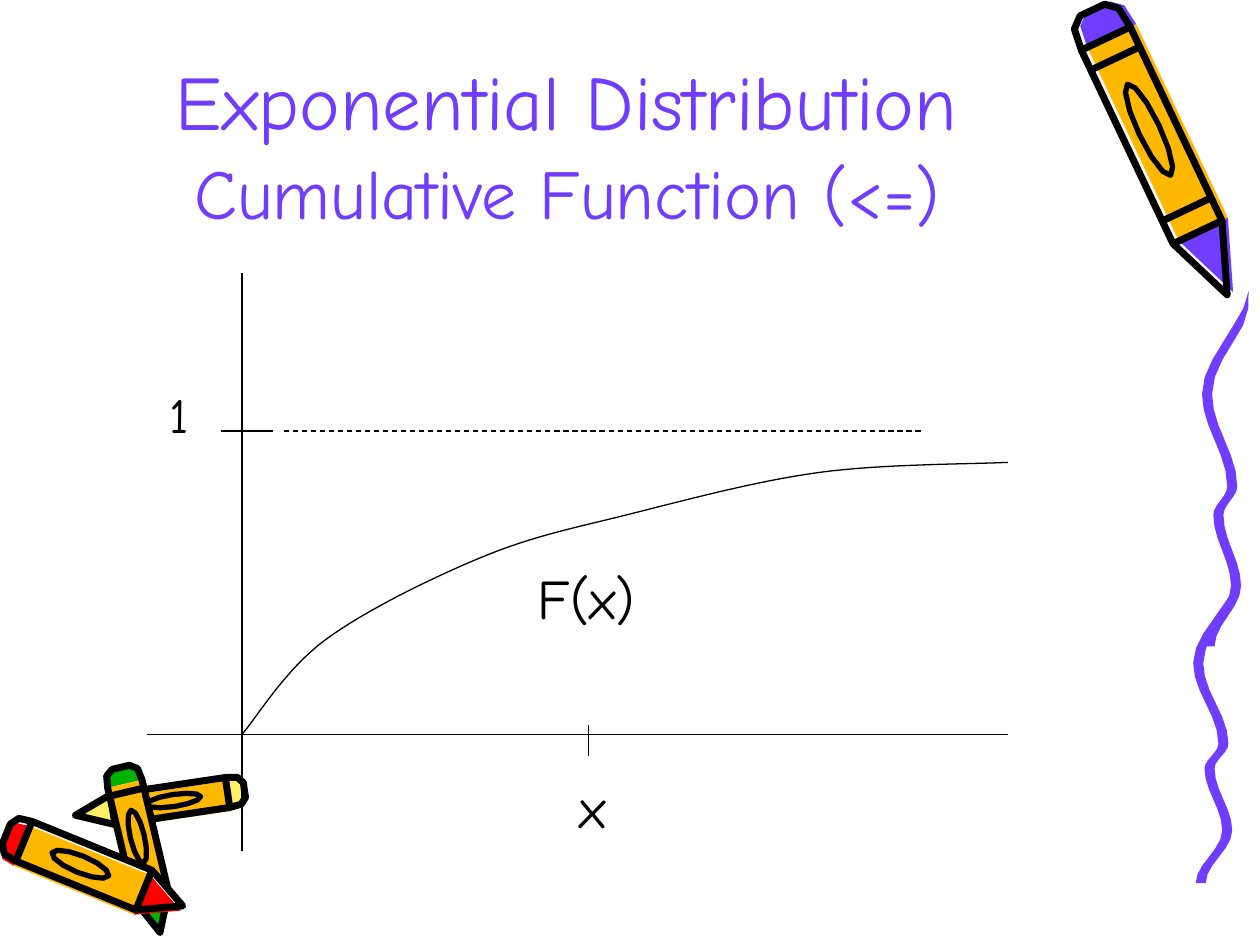
import math

import pptx
import pptx.dml.color
import pptx.enum.dml
import pptx.enum.shapes
import pptx.enum.text
import pptx.oxml.ns
import pptx.util

Inches = pptx.util.Inches
Pt = pptx.util.Pt
ALIGN = pptx.enum.text.PP_ALIGN
ANCHOR = pptx.enum.text.MSO_ANCHOR

FONT = "Comic Neue"
COLORS = {
    "violet": "703DFF", "amber": "FFB800", "pale": "F8F8F8", "lemon": "FFEF66",
    "red": "FF0000", "green": "00B200", "black": "000000",
}

AXIS_X, AXIS_Y, LIMIT_Y, RIGHT = 1.92, 5.83, 3.42, 8
KNOTS = [(AXIS_X, AXIS_Y), (2.58, 5.08), (3.83, 4.42), (5, 4.08), (6.5, 3.75), (RIGHT, 3.67)]

CAP, NECK = 0.1, 0.78
RINGS = (CAP, 0.17, 0.7, NECK)
SWINGS = [(0, 0.35), (0.29, 0.02), (0.55, 0.22), (0.63, 0.11), (0.83, 0.25), (1, 0.04)]


def paint(name):
    return pptx.dml.color.RGBColor.from_string(COLORS[name])


def add_path(slide, points, fill=None, width=0, close=True):
    spots = [(Inches(x), Inches(y)) for x, y in points]
    pen = slide.shapes.build_freeform(*spots[0], scale=1.0)
    pen.add_line_segments(spots[1:], close=close)
    shape = pen.convert_to_shape()
    shape.shadow.inherit = False
    if fill:
        shape.fill.solid()
        shape.fill.fore_color.rgb = paint(fill)
    else:
        shape.fill.background()
    if width:
        shape.line.color.rgb = paint("black")
        shape.line.width = Pt(width)
    else:
        shape.line.fill.background()


def add_line(slide, start, end, width=0.75, dash=None):
    line = slide.shapes.add_connector(
        pptx.enum.shapes.MSO_CONNECTOR.STRAIGHT, *map(Inches, start + end))
    line.line.color.rgb = paint("black")
    line.line.width = Pt(width)
    if dash:
        line.line.dash_style = dash
    props = line._element.spPr
    props.append(props.makeelement(pptx.oxml.ns.qn("a:effectLst"), {}))


def add_text(slide, text, box, sizes, color="black", align=ALIGN.LEFT,
             anchor=ANCHOR.TOP, spacing=1.0):
    frame = slide.shapes.add_textbox(*map(Inches, box)).text_frame
    frame.word_wrap = True
    frame.vertical_anchor = anchor
    para = frame.paragraphs[0]
    para.alignment = align
    para.line_spacing = spacing
    for i, (row, size) in enumerate(zip(text.split("\n"), sizes)):
        if i:
            para.add_line_break()
        run = para.add_run()
        run.text = row
        run.font.name = FONT
        run.font.size = Pt(size)
        run.font.color.rgb = paint(color)


def add_crayon(slide, tail, tip, girth, color, shift, rings=RINGS):
    dx, dy = tip[0] - tail[0], tip[1] - tail[1]
    size = math.hypot(dx, dy)

    def place(points, move=0):
        return [(tail[0] + along * dx + (side + move) * girth * dy / size,
                 tail[1] + along * dy - (side + move) * girth * dx / size)
                for along, side in points]

    cap = [(CAP, -0.5), (0.03, -0.45), (0, -0.25), (0, 0.25), (0.03, 0.45), (CAP, 0.5)]
    body = [(CAP, -0.5), (NECK, -0.5), (NECK, 0.5), (CAP, 0.5)]
    cone = [(NECK, -0.5), (1, 0), (NECK, 0.5)]
    turns = [math.tau * i / 12 for i in range(12)]
    label = [(0.42 + 0.16 * math.cos(a), 0.2 * math.sin(a)) for a in turns]
    edge = cap + cone[::-1]

    add_path(slide, place(edge), fill="pale")
    for part, shade in ((cap, color), (body, "amber"), (cone, color)):
        add_path(slide, place(part, shift), fill=shade)
    add_path(slide, place(edge), width=4)
    add_path(slide, place(label), width=3)
    for ring in rings:
        add_line(slide, *place([(ring, -0.5), (ring, 0.5)]), width=4)


def add_wave(slide, left, top, height, half=0.04, steps=6):
    spine = []
    for (f1, x1), (f2, x2) in zip(SWINGS, SWINGS[1:]):
        for step in range(steps):
            ease = (1 - math.cos(math.pi * step / steps)) / 2
            spine.append((f1 + (f2 - f1) * step / steps, x1 + (x2 - x1) * ease))
    spine.append(SWINGS[-1])
    sides = [[(left + x + sign * half * min(1, f / 0.1), top + f * height) for f, x in spine]
             for sign in (-1, 1)]
    add_path(slide, sides[0] + sides[1][::-1], fill="violet")


def add_curve(slide, knots, steps=16):
    ends = [knots[0], *knots, knots[-1]]
    points = [knots[0]]
    for a, b, c, d in zip(ends, ends[1:], ends[2:], ends[3:]):
        for step in range(1, steps + 1):
            t = step / steps
            points.append(tuple(
                b[i] + t / 2 * (c[i] - a[i]
                                + t * (2 * a[i] - 5 * b[i] + 4 * c[i] - d[i])
                                + t * t * (3 * b[i] - 3 * c[i] + d[i] - a[i]))
                for i in (0, 1)))
    add_path(slide, points, width=0.75, close=False)


def add_art(slide):
    add_crayon(slide, (1.94, 6.27), (0.6, 6.47), 0.24, "lemon", 0.12, rings=(CAP, NECK))
    add_crayon(slide, (0.96, 6.09), (1.27, 7.4), 0.28, "green", -0.05, rings=(CAP + 0.05,))
    add_crayon(slide, (0.05, 6.62), (1.45, 7.19), 0.34, "red", -0.12, rings=(CAP, NECK))
    add_wave(slide, 9.49, 4.55, 2.46)
    add_wave(slide, 9.56, 2.31, 2.82)
    add_crayon(slide, (8.67, 0.08), (9.74, 2.34), 0.43, "violet", 0.12)


def add_plot(slide):
    add_line(slide, (AXIS_X, 2.17), (AXIS_X, 6.75))
    add_line(slide, (1.17, AXIS_Y), (RIGHT, AXIS_Y))
    add_line(slide, (1.75, LIMIT_Y), (2.17, LIMIT_Y))
    add_line(slide, (4.67, 5.75), (4.67, 6))
    add_line(slide, (2.25, LIMIT_Y), (7.33, LIMIT_Y), dash=pptx.enum.dml.MSO_LINE.DASH)
    add_curve(slide, KNOTS)
    add_text(slide, "x", (4.5, 6.08, 0.42, 0.64), (32,))
    add_text(slide, "1", (1.25, 3, 0.42, 0.57), (28,))
    add_text(slide, "F(x)", (4.17, 4.42, 1.83, 0.64), (32,))


def main():
    deck = pptx.Presentation()
    deck.slide_width, deck.slide_height = Inches(10), Inches(7.5)
    slide = deck.slides.add_slide(deck.slide_layouts[6])
    add_art(slide)
    add_text(slide, "Exponential Distribution\nCumulative Function (<=)", (0.75, 0.15, 7.5, 1.75),
             (44, 40), color="violet", align=ALIGN.CENTER, anchor=ANCHOR.BOTTOM, spacing=1.04)
    add_plot(slide)
    deck.save("out.pptx")


if __name__ == "__main__":
    main()
